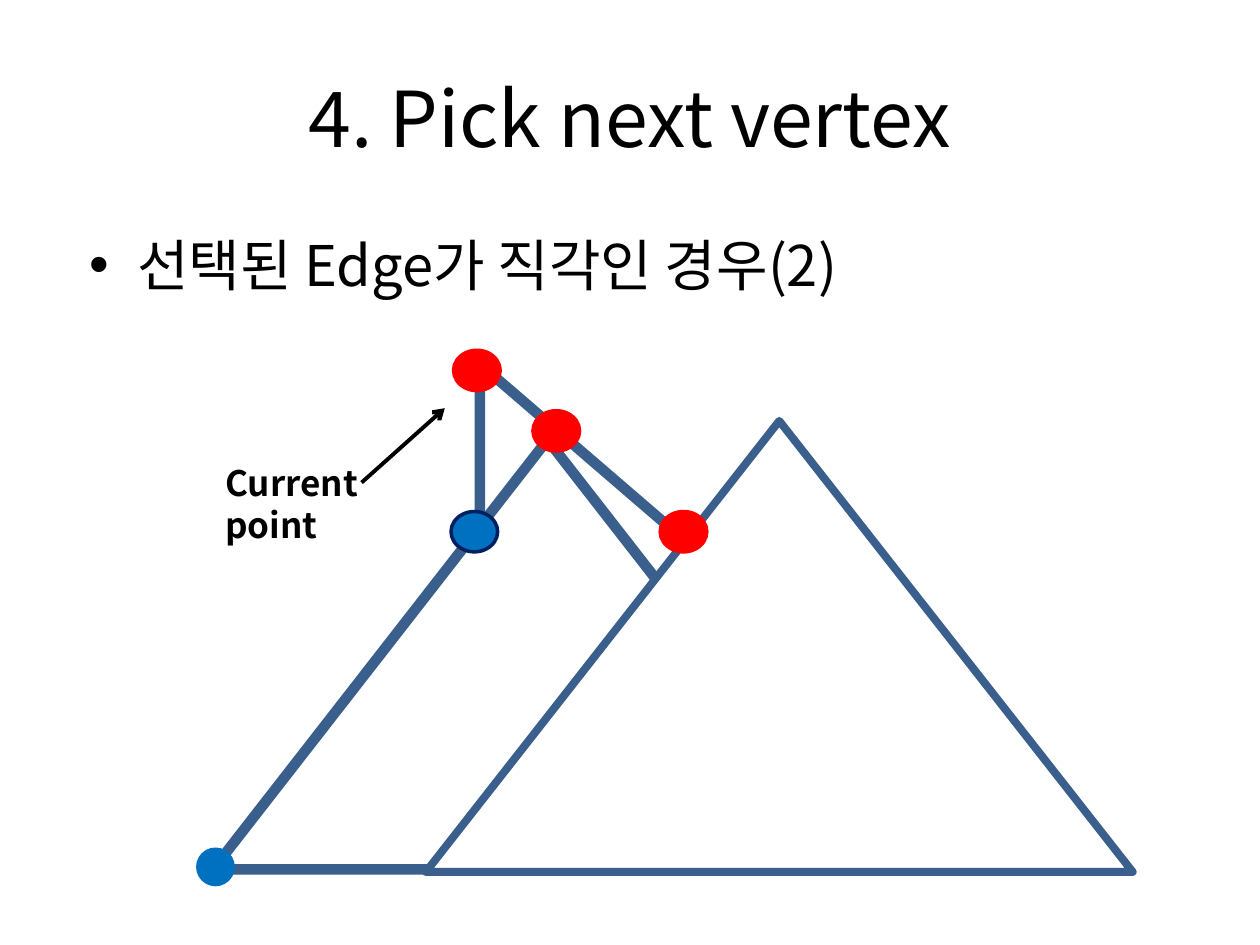
from dataclasses import dataclass

from lxml import etree
from pptx import Presentation, util as u
from pptx.dml.color import RGBColor
from pptx.enum import shapes, text
from pptx.oxml import ns


@dataclass(frozen=True)
class Theme:
    font: str = "Noto Sans CJK KR"
    ink: str = "000000"
    paper: str = "FFFFFF"
    edge: str = "3A5F8C"
    red: str = "FF0000"
    blue: str = "0070C0"
    navy: str = "002060"
    title: int = 44
    body: int = 32
    label: int = 20


def rgb(code):
    return RGBColor.from_string(code)


def sub(node, tag, **attrs):
    return etree.SubElement(node, ns.qn(tag), **attrs)


def write(frame, words, theme, size, bold=False, align=text.PP_ALIGN.LEFT,
          anchor=text.MSO_ANCHOR.TOP, bullet=False):
    frame.word_wrap = True
    frame.vertical_anchor = anchor
    para = frame.paragraphs[0]
    para.alignment = align
    if bullet:
        para.space_before = u.Pt(0.2 * size)
        props = para._p.get_or_add_pPr()
        indent = u.Inches(0.38)
        props.set("marL", str(indent))
        props.set("indent", str(-indent))
        sub(props, "a:buFont", typeface="Arial")
        sub(props, "a:buChar", char="•")
    run = para.add_run()
    run.text = words
    font = run.font
    font.size, font.bold, font.name = u.Pt(size), bold, theme.font
    font.color.rgb = rgb(theme.ink)
    sub(run._r.get_or_add_rPr(), "a:ea", typeface=theme.font)


class Sketch:
    def __init__(self, slide, theme):
        self.slide = slide
        self.theme = theme

    def label(self, box, words, size, **style):
        item = self.slide.shapes.add_textbox(*map(u.Inches, box))
        write(item.text_frame, words, self.theme, size, **style)

    def shape(self, kind, box, fill, line, width):
        item = self.slide.shapes.add_shape(kind, *map(u.Inches, box))
        item.shadow.inherit = False
        item.fill.solid()
        item.fill.fore_color.rgb = rgb(fill)
        item.line.color.rgb = rgb(line)
        item.line.width = u.Pt(width)

    def hill(self, kind, box, width):
        self.shape(kind, box, self.theme.paper, self.theme.edge, width)

    def dot(self, left, top, fill, line=None, size=(0.37, 0.32)):
        self.shape(shapes.MSO_SHAPE.OVAL, (left, top, *size),
                   fill, line or fill, 2)

    def arrow(self, start, end, width):
        item = self.slide.shapes.add_connector(
            shapes.MSO_CONNECTOR.STRAIGHT, *map(u.Inches, (*start, *end)))
        item.line.color.rgb = rgb(self.theme.ink)
        item.line.width = u.Pt(width)
        sub(item.line._get_or_add_ln(), "a:tailEnd", type="arrow")
        sub(item._element.spPr, "a:effectLst")


def main():
    deck = Presentation()
    deck.slide_width, deck.slide_height = u.Inches(10), u.Inches(7.5)
    theme = Theme()
    page = Sketch(deck.slides.add_slide(deck.slide_layouts[6]), theme)
    kind = shapes.MSO_SHAPE

    page.label((0.5, 0.3, 9, 1.25), "4. Pick next vertex", theme.title,
               align=text.PP_ALIGN.CENTER, anchor=text.MSO_ANCHOR.MIDDLE)
    page.label((0.61, 1.78, 9, 4.95), "선택된 Edge가 직각인 경우(2)",
               theme.body, bullet=True)

    page.hill(kind.RIGHT_TRIANGLE, (3.81, 2.89, 4.53, 3.9), 6)
    page.dot(3.6, 2.78, theme.red)
    page.arrow((2.87, 3.83), (3.53, 3.24), 2.25)
    page.label((1.69, 3.61, 1.65, 0.77), "Current point", theme.label,
               bold=True)
    page.hill(kind.ISOSCELES_TRIANGLE, (1.69, 3.49, 5.31, 3.41), 6)
    page.hill(kind.ISOSCELES_TRIANGLE, (3.38, 3.34, 5.61, 3.58), 4.5)

    for left, top in ((4.23, 3.26), (5.24, 4.06)):
        page.dot(left, top, theme.red)
    page.dot(3.58, 4.06, theme.blue, line=theme.navy)
    page.dot(1.57, 6.74, theme.blue, size=(0.28, 0.28))

    deck.save("out.pptx")


if __name__ == "__main__":
    main()
